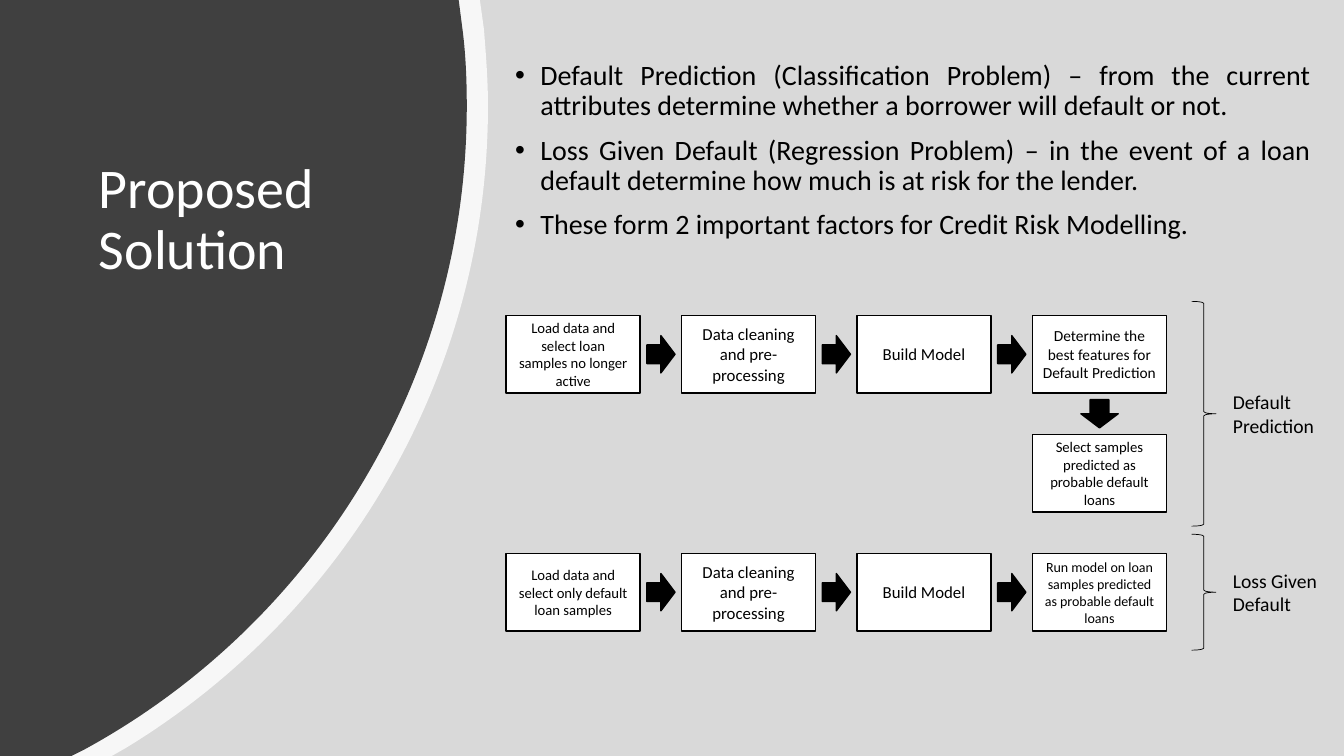
from lxml.etree import SubElement
from pptx import Presentation
from pptx.dml.color import RGBColor
from pptx.enum.shapes import MSO_SHAPE as Shape
from pptx.enum.text import MSO_ANCHOR as Anchor, MSO_AUTO_SIZE as AutoSize, PP_ALIGN as Align
from pptx.oxml.ns import qn
from pptx.util import Inches, Pt

WHITE = RGBColor(0xFF, 0xFF, 0xFF)
BLACK = RGBColor(0x00, 0x00, 0x00)
LIGHT_GRAY = RGBColor(0xD9, 0xD9, 0xD9)
DARK_GRAY = RGBColor(0x40, 0x40, 0x40)

SLIDE_WIDTH, SLIDE_HEIGHT = 13.33, 7.5
GRID_LEFT, GRID_TOP = 5.02, 3.13
COLUMN_PITCH, ROW_PITCH = 1.74, 1.18
STEP_WIDTH, STEP_HEIGHT = 1.33, 0.77
ARROW_LENGTH, ARROW_HEIGHT = 0.28, 0.37
BRACE_LEFT, BRACE_WIDTH = 11.82, 0.24
LABEL_LEFT, LABEL_WIDTH, LABEL_HEIGHT = 12.13, 1.06, 0.57
UNITS_PER_INCH = 1000

BULLETS = [
    "Default Prediction (Classification Problem) – from the current attributes "
    "determine whether a borrower will default or not.",
    "Loss Given Default (Regression Problem) – in the event of a loan default "
    "determine how much is at risk for the lender.",
    "These form 2 important factors for Credit Risk Modelling.",
]
# Column, row, font size, text
STEPS = [
    (0, 0, 10.5, "Load data and select loan samples no longer active"),
    (1, 0, 12, "Data cleaning and pre-processing"),
    (2, 0, 12, "Build Model"),
    (3, 0, 11, "Determine the best features for Default Prediction"),
    (3, 1, 10.5, "Select samples predicted as probable default loans"),
    (0, 2, 10.5, "Load data and select only default loan samples"),
    (1, 2, 12, "Data cleaning and pre-processing"),
    (2, 2, 12, "Build Model"),
    (3, 2, 10, "Run model on loan samples predicted as probable default loans"),
]
# First row, last row, overhang of the brace, label
STAGES = [(0, 1, 0.14, "Default Prediction"), (2, 2, 0.19, "Loss Given Default")]
# Each panel edge: two straight points, two cubic curves of three points, the foot
HALO_EDGE = [(4.76, 0), (4.8, 0.29),
             (4.82, 0.54), (4.84, 0.8), (4.84, 1.05),
             (4.84, 3.75), (3.4, 6.11), (1.25, 7.42), (1.11, SLIDE_HEIGHT)]
PANEL_EDGE = [(4.55, 0), (4.59, 0.31),
              (4.62, 0.55), (4.63, 0.8), (4.63, 1.05),
              (4.63, 3.81), (3.09, 6.21), (0.83, 7.44), (0.71, SLIDE_HEIGHT)]
CURVE_STARTS = (2, 5)


def bend_edge(panel):
    """Turn each three-point run of the panel edge into one cubic curve."""
    lines = list(panel._element.iter(qn("a:lnTo")))
    for start in CURVE_STARTS:
        first, *others = lines[start:start + 3]
        outline = first.getparent()
        curve = outline.makeelement(qn("a:cubicBezTo"))
        first.addprevious(curve)
        for line in (first, *others):
            curve.append(line[0])
            outline.remove(line)


def write_text(shape, *texts, size, color=BLACK, align=Align.LEFT, anchor=Anchor.TOP,
               line_spacing=None, space_before=None, hanging=None):
    """Fill a shape with one paragraph per text; hanging is a bullet indent in inches."""
    frame = shape.text_frame
    frame.word_wrap = True
    frame.auto_size = AutoSize.NONE
    frame.vertical_anchor = anchor
    for index, text in enumerate(texts):
        paragraph = frame.add_paragraph() if index else frame.paragraphs[0]
        paragraph.alignment = align
        if line_spacing is not None:
            paragraph.line_spacing = line_spacing
        if space_before is not None:
            paragraph.space_before = Pt(space_before)
        if hanging is not None:
            properties = paragraph._p.get_or_add_pPr()
            properties.set("marL", str(Inches(hanging)))
            properties.set("indent", str(-Inches(hanging)))
            SubElement(properties, qn("a:buFont")).set("typeface", "Arial")
            SubElement(properties, qn("a:buChar")).set("char", "•")
        run = paragraph.add_run()
        run.text = text
        run.font.name = "Calibri"
        run.font.size = Pt(size)
        run.font.color.rgb = color


class FlowSlide:
    """Draws on one slide, placing flow elements by grid column and row."""

    def __init__(self, slide):
        self.slide = slide
        self.shapes = slide.shapes

    def center(self, column, row):
        return (GRID_LEFT + column * COLUMN_PITCH + STEP_WIDTH / 2,
                GRID_TOP + row * ROW_PITCH + STEP_HEIGHT / 2)

    def shape(self, kind, left, top, width, height, fill=None, line=None):
        shape = self.shapes.add_shape(kind, *map(Inches, (left, top, width, height)))
        shape.shadow.inherit = False
        if fill is None:
            shape.fill.background()
        else:
            shape.fill.solid()
            shape.fill.fore_color.rgb = fill
        if line is None:
            shape.line.fill.background()
        else:
            shape.line.color.rgb = BLACK
            shape.line.width = Pt(line)
        return shape

    def grid_shape(self, kind, column, row, width, height, fill):
        x, y = self.center(column, row)
        return self.shape(kind, x - width / 2, y - height / 2, width, height, fill, 1)

    def panel(self, edge, color, opacity=None):
        """Fill the area left of a curved edge; opacity is a percentage."""
        points = [(round(x * UNITS_PER_INCH), round(y * UNITS_PER_INCH))
                  for x, y in [*edge, (0, SLIDE_HEIGHT)]]
        builder = self.shapes.build_freeform(0, 0, scale=Inches(1) / UNITS_PER_INCH)
        builder.add_line_segments(points, close=True)
        panel = builder.convert_to_shape()
        bend_edge(panel)
        panel.shadow.inherit = False
        panel.line.fill.background()
        panel.fill.solid()
        panel.fill.fore_color.rgb = color
        if opacity is not None:
            tint = panel._element.spPr.find(".//" + qn("a:srgbClr"))
            SubElement(tint, qn("a:alpha")).set("val", str(opacity * 1000))

    def placeholder(self, index, left, top, width, height, *texts, **text_format):
        """Move a template placeholder in front of the panels and fill it."""
        shape = self.slide.placeholders[index]
        shape.left, shape.top, shape.width, shape.height = map(
            Inches, (left, top, width, height))
        element = shape._element
        element.getparent().append(element)
        write_text(shape, *texts, line_spacing=0.9, **text_format)

    def step(self, column, row, size, text):
        box = self.grid_shape(Shape.RECTANGLE, column, row, STEP_WIDTH, STEP_HEIGHT, WHITE)
        write_text(box, text, size=size, align=Align.CENTER, anchor=Anchor.MIDDLE)

    def arrow(self, column, row, rotation=0):
        arrow = self.grid_shape(Shape.RIGHT_ARROW, column, row,
                                ARROW_LENGTH, ARROW_HEIGHT, BLACK)
        arrow.rotation = rotation

    def stage(self, first_row, last_row, overhang, text):
        """Bracket a span of rows and label it."""
        height = (last_row - first_row) * ROW_PITCH + STEP_HEIGHT + 2 * overhang
        middle = self.center(0, (first_row + last_row) / 2)[1]
        self.shape(Shape.RIGHT_BRACE, BRACE_LEFT, middle - height / 2,
                   BRACE_WIDTH, height, line=0.5)
        label = self.shapes.add_textbox(*map(Inches, (
            LABEL_LEFT, middle - LABEL_HEIGHT / 2, LABEL_WIDTH, LABEL_HEIGHT)))
        write_text(label, text, size=14)


def main():
    presentation = Presentation()
    presentation.slide_width = Inches(SLIDE_WIDTH)
    presentation.slide_height = Inches(SLIDE_HEIGHT)
    flow = FlowSlide(presentation.slides.add_slide(presentation.slide_layouts[1]))

    flow.shape(Shape.RECTANGLE, 0, 0, SLIDE_WIDTH, SLIDE_HEIGHT, LIGHT_GRAY)
    flow.panel(HALO_EDGE, WHITE, opacity=80)
    flow.panel(PANEL_EDGE, DARK_GRAY)
    flow.placeholder(0, 0.88, 1.54, 3.14, 2.36, "Proposed Solution", size=40, color=WHITE)
    flow.placeholder(1, 5.01, 0.56, 8.09, 1.96, *BULLETS, size=20,
                     align=Align.JUSTIFY, space_before=10, hanging=0.25)

    for step in STEPS:
        flow.step(*step)
    for row in (0, 2):
        for column in range(3):
            flow.arrow(column + 0.5, row)
    flow.arrow(3, 0.5, rotation=90)
    for stage in STAGES:
        flow.stage(*stage)

    presentation.save("out.pptx")


if __name__ == "__main__":
    main()
